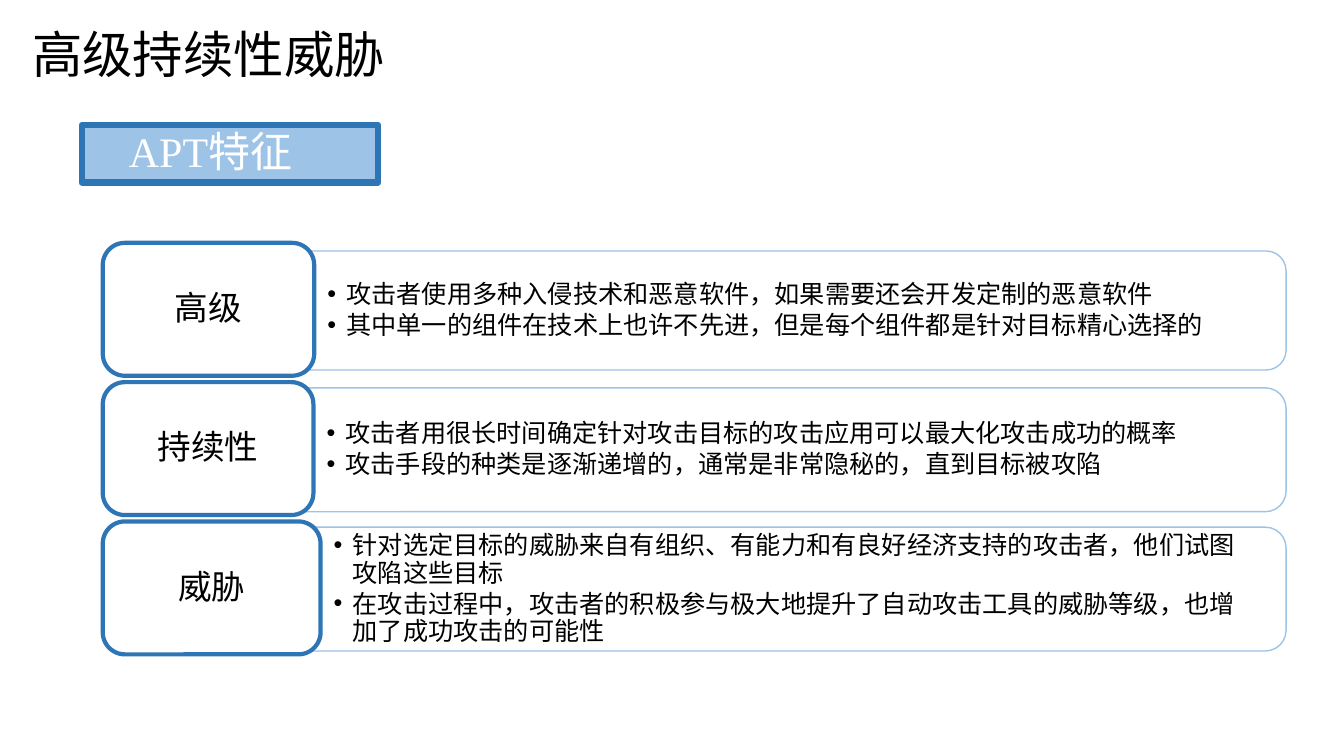
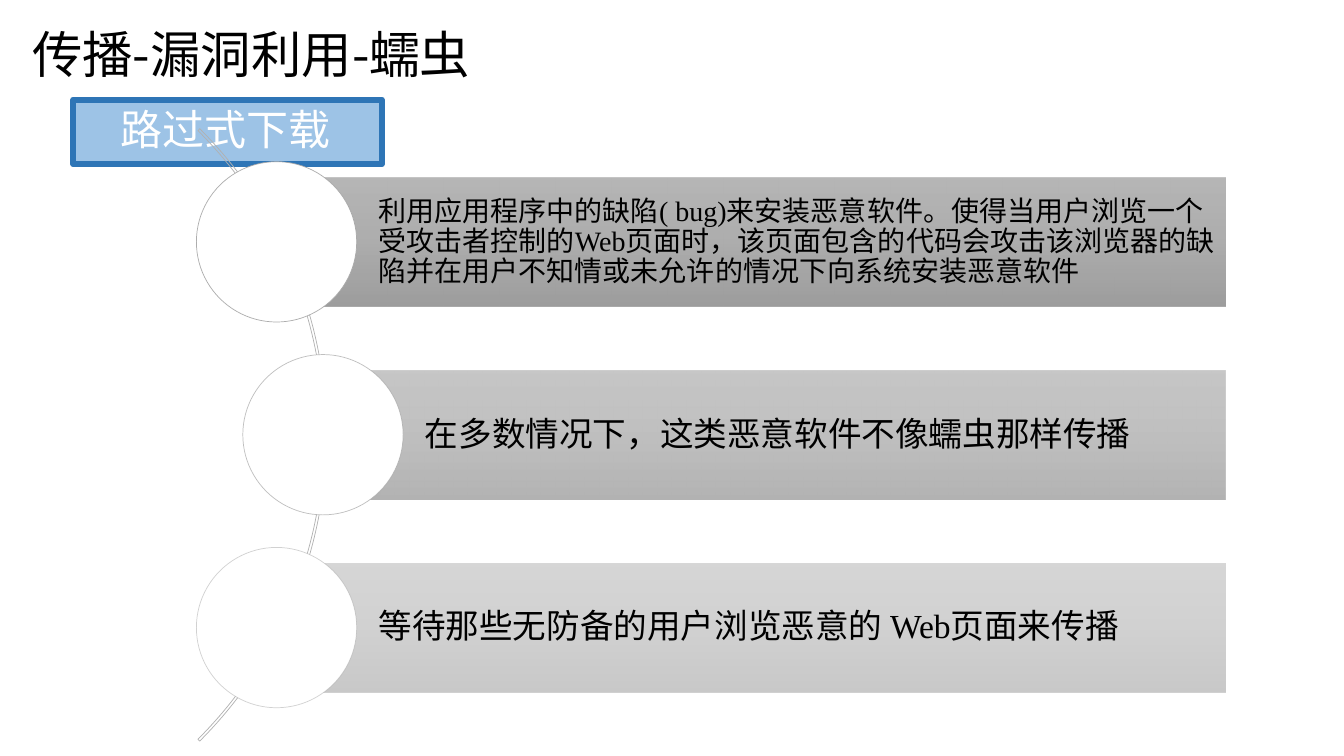
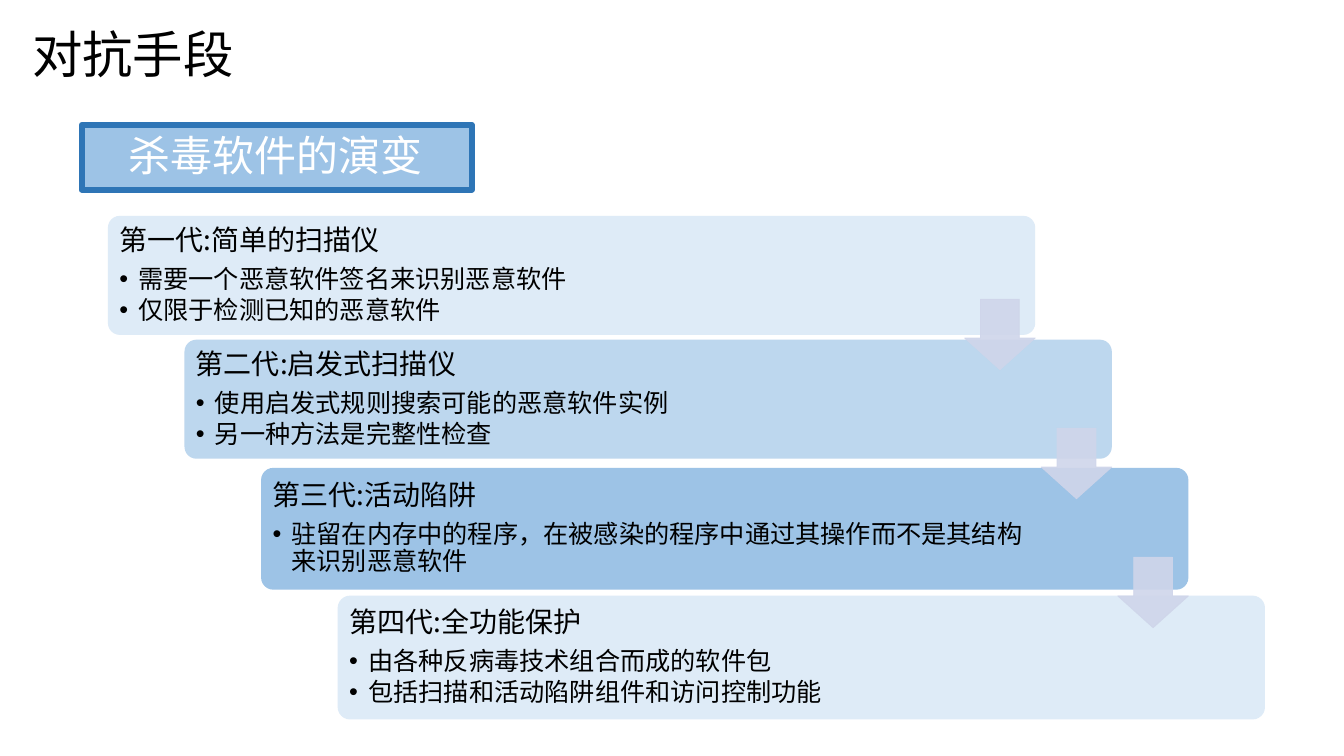
import pptx
import pptx.util
import pptx.dml.color
import pptx.enum.shapes
import pptx.enum.text
import pptx.oxml.ns
from lxml import etree

Cm = pptx.util.Cm
Pt = pptx.util.Pt
RGBColor = pptx.dml.color.RGBColor
SHAPE = pptx.enum.shapes.MSO_SHAPE
ALIGN = pptx.enum.text.PP_ALIGN
MIDDLE = pptx.enum.text.MSO_ANCHOR.MIDDLE
qn = pptx.oxml.ns.qn

BLACK = RGBColor(0x00, 0x00, 0x00)
WHITE = RGBColor(0xFF, 0xFF, 0xFF)
BLUE = RGBColor(0x2E, 0x75, 0xB6)
SKY = RGBColor(0x9D, 0xC3, 0xE6)
PALE = RGBColor(0xDE, 0xEB, 0xF7)
LIGHT = RGBColor(0xBD, 0xD7, 0xEE)
LAVENDER = RGBColor(0xCF, 0xD5, 0xEA)
GRAY = RGBColor(0xA5, 0xA5, 0xA5)
ARC_GRAY = RGBColor(0xB1, 0xB1, 0xB1)
BAR_STOPS = (
    (0, RGBColor(0xAF, 0xAF, 0xAF)),
    (50, GRAY),
    (100, RGBColor(0x93, 0x93, 0x93)),
)

SANS = "Noto Sans CJK SC"
SERIF = "Times New Roman"
LINE_PITCH = 1.07
HANG = Cm(0.48)
TITLE_ONLY = 5

FEATURES = (
    ("高级", 5.33, 3.0, (
        "攻击者使用多种入侵技术和恶意软件，如果需要还会开发定制的恶意软件",
        "其中单一的组件在技术上也许不先进，但是每个组件都是针对目标精心选择的",
    )),
    ("持续性", 5.31, 3.12, (
        "攻击者用很长时间确定针对攻击目标的攻击应用可以最大化攻击成功的概率",
        "攻击手段的种类是逐渐递增的，通常是非常隐秘的，直到目标被攻陷",
    )),
    ("威胁", 5.49, 3.12, (
        "针对选定目标的威胁来自有组织、有能力和有良好经济支持的攻击者，他们试图攻陷这些目标",
        "在攻击过程中，攻击者的积极参与极大地提升了自动攻击工具的威胁等级，也增加了成功攻击的可能性",
    )),
)

DOWNLOADS = (
    ("利用应用程序中的缺陷( bug)来安装恶意软件。使得当用户浏览一个受攻击者控制的Web页面时，"
     "该页面包含的代码会攻击该浏览器的缺陷并在用户不知情或未允许的情况下向系统安装恶意软件",
     20, SERIF, 4.95, 90),
    ("在多数情况下，这类恶意软件不像蠕虫那样传播", 24, SANS, 6.12, 70),
    ("等待那些无防备的用户浏览恶意的 Web页面来传播", 24, SERIF, 4.95, 50),
)

GENERATIONS = (
    ("第一代:简单的扫描仪", 5.44, 3.0, PALE,
     ("需要一个恶意软件签名来识别恶意软件", "仅限于检测已知的恶意软件")),
    ("第二代:启发式扫描仪", 8.56, 3.0, LIGHT,
     ("使用启发式规则搜索可能的恶意软件实例", "另一种方法是完整性检查")),
    ("第三代:活动陷阱", 11.79, 3.07, SKY,
     ("驻留在内存中的程序，在被感染的程序中通过其操作而不是其结构来识别恶意软件",)),
    ("第四代:全功能保护", 15.01, 3.12, PALE,
     ("由各种反病毒技术组合而成的软件包", "包括扫描和活动陷阱组件和访问控制功能")),
)


def apply(target, values):
    for name, value in values.items():
        setattr(target, name, value)


def set_frame(frame, insets):
    left, top, right, bottom = insets
    apply(frame, {
        "word_wrap": True,
        "vertical_anchor": MIDDLE,
        "margin_left": Cm(left),
        "margin_top": Cm(top),
        "margin_right": Cm(right),
        "margin_bottom": Cm(bottom),
    })


def add_span(para, text, size, face=SANS, color=BLACK):
    span = para.add_run()
    span.text = text
    apply(span.font, {"size": Pt(size), "name": face, "bold": False})
    span.font.color.rgb = color
    etree.SubElement(span.font._element, qn("a:ea"), typeface=SANS)


def write_line(para, text, size, face=SANS, color=BLACK, align=ALIGN.LEFT):
    apply(para, {"alignment": align, "line_spacing": Pt(round(size * LINE_PITCH, 1))})
    add_span(para, text, size, face, color)


def write_bullet(para, text):
    para.level = 1
    properties = para._p.get_or_add_pPr()
    properties.set("marL", str(HANG))
    properties.set("indent", str(-HANG))
    etree.SubElement(properties, qn("a:buFont"), typeface="Arial")
    etree.SubElement(properties, qn("a:buChar"), char="•")
    write_line(para, text, 18)
    para.space_after = Pt(2.9)


def set_alpha(element, percent):
    for color in element.iter(qn("a:srgbClr")):
        etree.SubElement(color, qn("a:alpha"), val=str(percent * 1000))


def add_box(page, kind, box, fill=None, line=None, width=1):
    shape = page.shapes.add_shape(kind, *map(Cm, box))
    shape.shadow.inherit = False
    if fill is None:
        shape.fill.background()
    else:
        shape.fill.solid()
        shape.fill.fore_color.rgb = fill
    if line is None:
        shape.line.fill.background()
    else:
        shape.line.color.rgb = line
        shape.line.width = Pt(width)
    return shape


def add_page(deck, title, title_width, heading, heading_box, face=SANS):
    page = deck.slides.add_slide(deck.slide_layouts[TITLE_ONLY])
    holder = page.shapes.title
    apply(holder, {"left": Cm(0.53), "top": Cm(0), "width": Cm(title_width), "height": Cm(2.69)})
    set_frame(holder.text_frame, (0.28, 0.15, 0.28, 0.15))
    para = holder.text_frame.paragraphs[0]
    para.alignment = ALIGN.LEFT
    add_span(para, title, 36)
    banner = add_box(page, SHAPE.RECTANGLE, heading_box, SKY, BLUE, 4.33)
    set_frame(banner.text_frame, (1.19, 0, 1.19, 0))
    write_line(banner.text_frame.paragraphs[0], heading, 30, face, WHITE)
    return page


def add_feature(page, box, label, panel_height, right, points):
    left, top, width, height = box
    panel_left = left + width - 0.36
    panel_width = right - panel_left
    panel_top = top + (height - panel_height) / 2 + 0.03
    turned_box = (
        panel_left + (panel_width - panel_height) / 2,
        panel_top + (panel_height - panel_width) / 2,
        panel_height,
        panel_width,
    )
    panel = add_box(page, SHAPE.ROUND_2_SAME_RECTANGLE, turned_box, WHITE, SKY)
    panel.rotation = 90
    text_box = (panel_left, panel_top + 0.15, panel_width - 0.15, panel_height - 0.3)
    frame = page.shapes.add_textbox(*map(Cm, text_box)).text_frame
    set_frame(frame, (0.69, 0.36, 0.69, 0.36))
    for index, point in enumerate(points):
        write_bullet(frame.add_paragraph() if index else frame.paragraphs[0], point)
    badge = add_box(page, SHAPE.ROUNDED_RECTANGLE, box, WHITE, BLUE, 3)
    set_frame(badge.text_frame, (0, 0, 0, 0))
    write_line(badge.text_frame.paragraphs[0], label, 24, align=ALIGN.CENTER)


def add_download(page, box, text, size, face, opacity):
    left, top, width, height = box
    diameter = 4.04
    bar = add_box(page, SHAPE.RECTANGLE, box)
    bar.fill.gradient()
    bar.fill.gradient_angle = 270
    stops = bar._element.spPr.find(qn("a:gradFill")).find(qn("a:gsLst"))
    for stop in list(stops):
        stops.remove(stop)
    for position, color in BAR_STOPS:
        stop = etree.SubElement(stops, qn("a:gs"), pos=str(position * 1000))
        etree.SubElement(stop, qn("a:srgbClr"), val=str(color))
    set_alpha(stops, opacity)
    set_frame(bar.text_frame, (2.57, 0.15, 0.15, 0.15))
    write_line(bar.text_frame.paragraphs[0], text, size, face)
    circle_box = (left - diameter / 2, top + (height - diameter) / 2, diameter, diameter)
    circle = add_box(page, SHAPE.OVAL, circle_box, WHITE, GRAY, 0.5)
    set_alpha(circle._element.spPr.find(qn("a:ln")), opacity)


def add_generation(page, box, title, color, points):
    card = add_box(page, SHAPE.ROUNDED_RECTANGLE, box, color)
    card.adjustments[0] = 0.1
    frame = card.text_frame
    set_frame(frame, (0.2, 0.2, 3.94, 0.2))
    write_line(frame.paragraphs[0], title, 20)
    frame.paragraphs[0].space_after = Pt(7.5)
    for point in points:
        write_bullet(frame.add_paragraph(), point)


def add_step_arrow(page, box):
    arrow = add_box(page, SHAPE.DOWN_ARROW, box, LAVENDER, LAVENDER, 0.5)
    arrow.adjustments[0] = 0.55
    arrow.adjustments[1] = 0.45
    set_alpha(arrow._element.spPr, 90)


def build_features(deck):
    page = add_page(deck, "高级持续性威胁", 15.01, "APT特征", (2.06, 3.15, 7.47, 1.45), SERIF)
    for row, (label, width, panel_height, points) in enumerate(FEATURES):
        box = (2.59, 6.12 + row * 3.51, width, 3.35)
        add_feature(page, box, label, panel_height, 32.41, points)


def build_downloads(deck):
    page = add_page(deck, "传播-漏洞利用-蠕虫", 15.01, "路过式下载", (1.85, 2.51, 7.77, 1.63))
    arc = add_box(page, SHAPE.BLOCK_ARC, (-13.59, 0.05, 21.82, 21.82), line=ARC_GRAY, width=0.5)
    for index, value in enumerate((189, 27, 0.003)):
        arc.adjustments[index] = value
    for row, (text, size, face, circle_left, opacity) in enumerate(DOWNLOADS):
        left = circle_left + 2.02
        box = (left, 4.47 + row * 4.86, 30.88 - left, 3.25)
        add_download(page, box, text, size, face, opacity)


def build_generations(deck):
    page = add_page(deck, "对抗手段", 29.21, "杀毒软件的演变", (2.06, 3.15, 9.83, 1.63))
    first_left, step, width, arrow_size = 2.72, 1.93, 23.37, 1.78
    for index, (title, top, height, color, points) in enumerate(GENERATIONS):
        add_generation(page, (first_left + index * step, top, width, height), title, color, points)
    for index in range(len(GENERATIONS) - 1):
        left = first_left + index * step + width - arrow_size
        add_step_arrow(page, (left, 7.54 + index * 3.25, arrow_size, arrow_size))


def main():
    deck = pptx.Presentation()
    apply(deck, {"slide_width": Cm(33.87), "slide_height": Cm(19.05)})
    for build in (build_features, build_downloads, build_generations):
        build(deck)
    deck.save("out.pptx")


if __name__ == "__main__":
    main()
